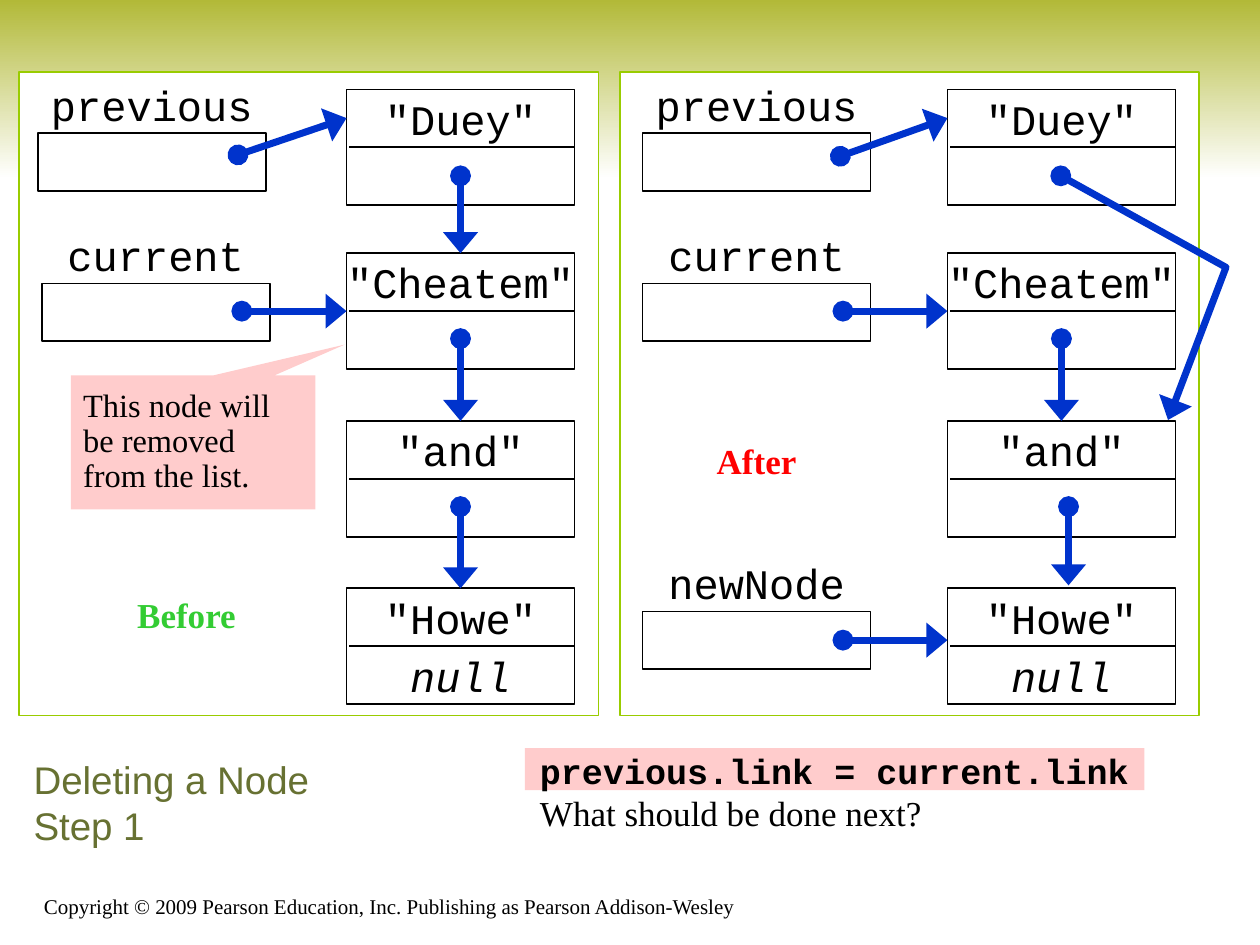
import pptx
import pptx.util
import pptx.dml.color
import pptx.enum.shapes
import pptx.enum.text
import pptx.oxml.ns
from lxml import etree

Pt = pptx.util.Pt
RGBColor = pptx.dml.color.RGBColor
SHAPE = pptx.enum.shapes.MSO_SHAPE
ALIGN = pptx.enum.text.PP_ALIGN
ANCHOR = pptx.enum.text.MSO_ANCHOR
qn = pptx.oxml.ns.qn

BLACK = RGBColor(0x00, 0x00, 0x00)
WHITE = RGBColor(0xFF, 0xFF, 0xFF)
OLIVE = RGBColor(0xB2, 0xB9, 0x38)
TITLE_GREEN = RGBColor(0x67, 0x71, 0x32)
PANEL_GREEN = RGBColor(0x99, 0xCC, 0x00)
BLUE = RGBColor(0x00, 0x33, 0xCC)
PINK = RGBColor(0xFF, 0xCC, 0xCC)
GREEN = RGBColor(0x33, 0xCC, 0x33)
RED = RGBColor(0xFF, 0x00, 0x00)

CODE = {"name": "Courier New", "size": Pt(24), "bold": False}
CODE_BOLD = {"name": "Courier New", "size": Pt(20), "bold": True}
BODY = {"name": "Times New Roman", "size": Pt(20), "bold": False}
HEADING = {**BODY, "bold": True}
NOTE = {**BODY, "size": Pt(18.5)}
FOOTER = {**BODY, "size": Pt(12)}
TITLE = {"name": "Arial", "size": Pt(22), "bold": False}

# Node and cell measures
BOX_W, CELL_H = 130.3, 33.1
NODE_TOPS = {"Duey": 51.1, "Cheatem": 144.7, "and": 240.5, "Howe": 336.2}
CURRENT_Y = NODE_TOPS["Cheatem"] + CELL_H


def set_format(p, fmt, color, align=ALIGN.LEFT):
    p.alignment = align
    for key, value in fmt.items():
        setattr(p.font, key, value)
    p.font.color.rgb = color


def add_box(slide, x, y, w, h, fill=None, line=None, kind=SHAPE.RECTANGLE):
    sp = slide.shapes.add_shape(kind, Pt(x), Pt(y), Pt(w), Pt(h))
    sp.shadow.inherit = False
    if fill is None:
        sp.fill.background()
    else:
        sp.fill.solid()
        sp.fill.fore_color.rgb = fill
    if line is None:
        sp.line.fill.background()
    else:
        sp.line.color.rgb = line
        sp.line.width = Pt(1)
    return sp


def add_text(slide, x, y, w, h, lines, color=BLACK, align=ALIGN.LEFT,
             anchor=ANCHOR.TOP, wrap=False):
    """Write a list of (text, format) pairs, one paragraph each."""
    tf = slide.shapes.add_textbox(Pt(x), Pt(y), Pt(w), Pt(h)).text_frame
    tf.word_wrap = wrap
    tf.vertical_anchor = anchor
    for i, (text, fmt) in enumerate(lines):
        p = tf.add_paragraph() if i else tf.paragraphs[0]
        p.text = text
        set_format(p, fmt, color, align)
    return tf


def add_cell_text(slide, x, y, text, italic=False):
    # The longest name fills the cell: no side margins, 2 pt spare each side
    tf = add_text(slide, x - 2, y, BOX_W + 4, CELL_H,
                  [(text, {**CODE, "italic": italic})],
                  align=ALIGN.CENTER, anchor=ANCHOR.MIDDLE)
    tf.margin_left = tf.margin_right = 0


def add_line(slide, start, end, color=BLACK, width=1):
    cxn = slide.shapes.add_connector(
        pptx.enum.shapes.MSO_CONNECTOR.STRAIGHT, *map(Pt, start + end))
    cxn.line.color.rgb = color
    cxn.line.width = Pt(width)
    etree.SubElement(cxn._element.spPr, qn("a:effectLst"))
    return cxn


def add_ends(sp):
    """Oval at the start of a line, large triangle at its end."""
    ln = sp.line._get_or_add_ln()
    for tag, kind, size in (("a:headEnd", "oval", "med"),
                            ("a:tailEnd", "triangle", "lg")):
        etree.SubElement(ln, qn(tag), type=kind, w=size, len="med")


def add_arrow(slide, start, end, target=None, site=0):
    cxn = add_line(slide, start, end, BLUE, 4)
    add_ends(cxn)
    if target is not None:
        cxn.end_connect(target, site)


def add_bent_arrow(slide, points):
    start, *rest = [(Pt(x), Pt(y)) for x, y in points]
    builder = slide.shapes.build_freeform(*start)
    builder.add_line_segments(rest, close=False)
    sp = builder.convert_to_shape()
    sp.shadow.inherit = False
    sp.fill.background()
    sp.line.color.rgb = BLUE
    sp.line.width = Pt(4)
    add_ends(sp)


def add_node(slide, x, name):
    y = NODE_TOPS[name]
    sp = add_box(slide, x, y, BOX_W, 2 * CELL_H, WHITE, BLACK)
    add_line(slide, (x + 1.5, y + CELL_H), (x + BOX_W, y + CELL_H))
    add_cell_text(slide, x, y, f'"{name}"')
    return sp


def add_variable(slide, x, y, name):
    add_box(slide, x, y, BOX_W, CELL_H, WHITE, BLACK)
    add_cell_text(slide, x, y - CELL_H, name)


def add_list(slide, panel_x, variables):
    """Panel with its four nodes and the named variables."""
    add_box(slide, panel_x, 41, 331.2, 368, WHITE, PANEL_GREEN)
    x = panel_x + 187.2
    nodes = {name: add_node(slide, x, name) for name in NODE_TOPS}
    add_cell_text(slide, x, NODE_TOPS["Howe"] + CELL_H, "null", italic=True)
    for name, left, top in variables:
        add_variable(slide, left, top, name)
    return x, nodes


def add_link(slide, x, y, target=None):
    add_arrow(slide, (x, y), (x, y + 45), target)


def add_before(slide):
    x, nodes = add_list(slide, 10.8, [("previous", 21.6, 76.2),
                                      ("current", 23.8, 162)])
    add_arrow(slide, (136, 88.5), (x, 67.5))
    add_arrow(slide, (138.2, CURRENT_Y), (x, CURRENT_Y), nodes["Cheatem"], 1)
    for y, name in ((100.5, "Cheatem"), (193.5, "and"), (289.5, "Howe")):
        add_link(slide, x + BOX_W / 2, y, nodes[name])
    add_text(slide, 71.3, 335.5, 71.3, 31.7, [("Before", HEADING)], GREEN)

    # Note on the node to remove
    sp = add_box(slide, 40.5, 214.5, 139.7, 76.5, PINK,
                 kind=SHAPE.RECTANGULAR_CALLOUT)
    sp.adjustments[0], sp.adjustments[1] = 0.62, -0.73
    tf = sp.text_frame
    tf.word_wrap = True
    tf.vertical_anchor = ANCHOR.MIDDLE
    p = tf.paragraphs[0]
    p.text = "This node will be removed from the list."
    p.line_spacing = 0.9
    set_format(p, NOTE, BLACK)


def add_after(slide):
    x, nodes = add_list(slide, 354.2, [("previous", 367.2, 76.2),
                                       ("current", 367.2, 162),
                                       ("newNode", 367.2, 349.4)])
    add_arrow(slide, (480.2, 89.3), (x, 67.5))
    add_arrow(slide, (481.7, CURRENT_Y), (x, CURRENT_Y), nodes["Cheatem"], 1)
    add_arrow(slide, (481.7, 365.8), (x, 365.8))
    add_link(slide, x + BOX_W / 2, 193.5, nodes["and"])
    add_link(slide, x + 69.2, 289.5)
    add_bent_arrow(slide, [(606.2, 100.5), (700.6, 152.8), (667.5, 240)])
    add_text(slide, 402.5, 247.7, 59.8, 31.7, [("After", HEADING)], RED)


def add_title(slide, text):
    sp = slide.shapes.title
    sp.left, sp.top, sp.width, sp.height = map(Pt, (12, 417, 300, 82.5))
    tf = sp.text_frame
    tf.auto_size = pptx.enum.text.MSO_AUTO_SIZE.NONE
    tf.vertical_anchor = ANCHOR.MIDDLE
    tf.text = text
    set_format(tf.paragraphs[0], TITLE, TITLE_GREEN)


def add_header_band(slide):
    sp = add_box(slide, 0, 0, 720, 102)
    sp.fill.gradient()
    sp.fill.gradient_angle = 270
    for stop, color, pos in zip(sp.fill.gradient_stops, (OLIVE, WHITE), (0, 1)):
        stop.color.rgb = color
        stop.position = pos


def main():
    prs = pptx.Presentation()
    prs.slide_width, prs.slide_height = Pt(720), Pt(540)
    slide = prs.slides.add_slide(prs.slide_layouts[5])

    # Header, title and footer
    add_header_band(slide)
    add_title(slide, "Deleting a Node\vStep 1")
    add_text(slide, 18, 498, 438, 30.5,
             [("Copyright © 2009 Pearson Education, Inc. "
               "Publishing as Pearson Addison-Wesley", FOOTER)],
             anchor=ANCHOR.BOTTOM, wrap=True)

    # List before and after the step
    add_before(slide)
    add_after(slide)

    # Statement and question
    add_box(slide, 300, 427.5, 354, 24, PINK)
    add_text(slide, 301.5, 425, 412.5, 55.5,
             [("previous.link = current.link", CODE_BOLD),
              ("What should be done next?", BODY)], wrap=True)
    prs.save("out.pptx")


if __name__ == "__main__":
    main()
